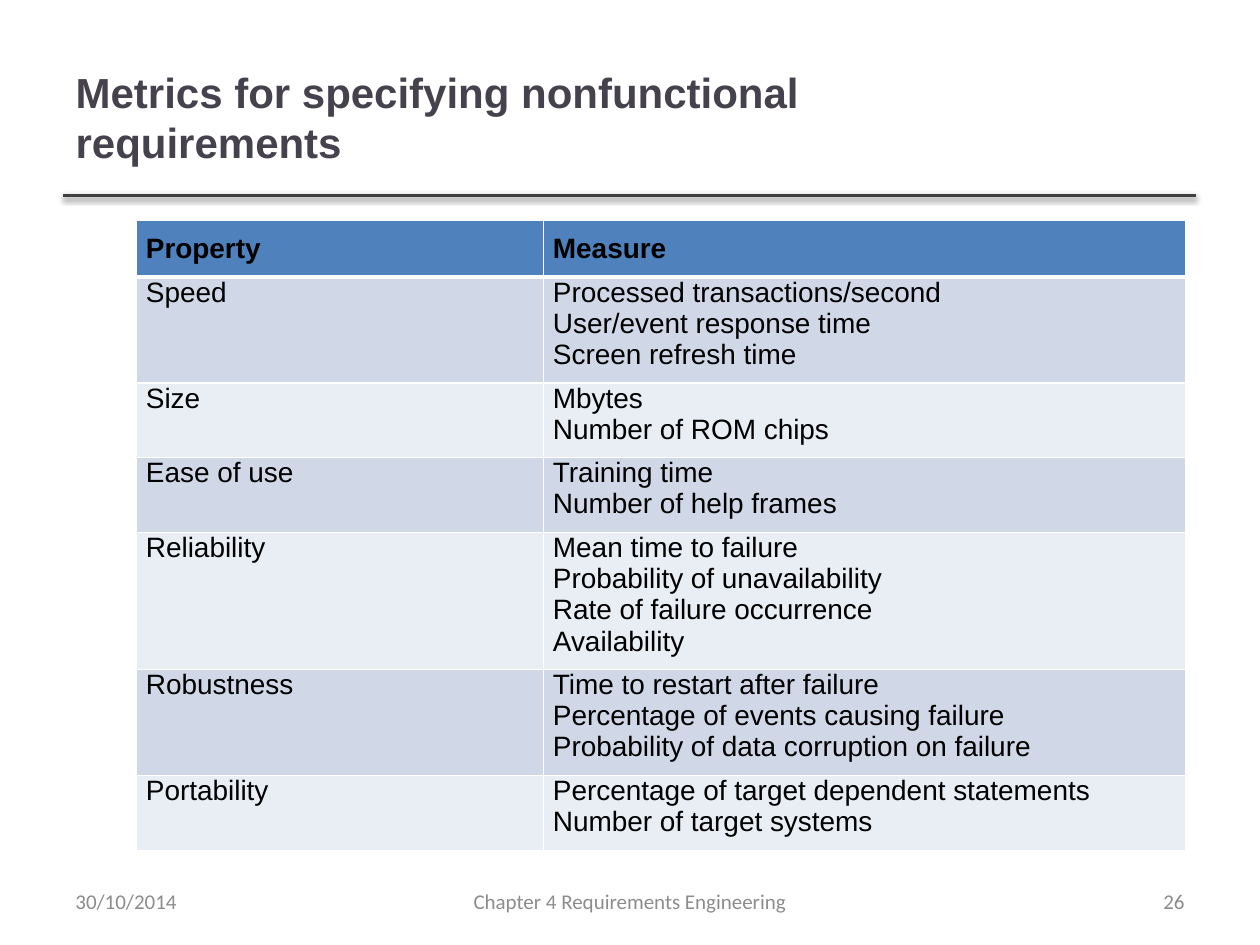
from lxml import etree
from pptx import Presentation
from pptx.dml.color import RGBColor
from pptx.enum.shapes import MSO_CONNECTOR
from pptx.enum.text import MSO_ANCHOR, MSO_AUTO_SIZE, PP_ALIGN
from pptx.oxml import parse_xml
from pptx.oxml.ns import nsdecls
from pptx.util import Pt

LEFT, CENTER, RIGHT, JUSTIFY = PP_ALIGN.LEFT, PP_ALIGN.CENTER, PP_ALIGN.RIGHT, PP_ALIGN.JUSTIFY
MIDDLE = MSO_ANCHOR.MIDDLE
STRAIGHT = MSO_CONNECTOR.STRAIGHT
NO_AUTOFIT = MSO_AUTO_SIZE.NONE

TITLE = RGBColor(0x46, 0x42, 0x4D)
RULE = RGBColor(0x40, 0x40, 0x40)
GRAY = RGBColor(0x8C, 0x8C, 0x8C)
BLACK = RGBColor(0x00, 0x00, 0x00)
HEADER = RGBColor(0x4F, 0x81, 0xBD)
BANDS = [RGBColor(0xE9, 0xED, 0xF4), RGBColor(0xD0, 0xD8, 0xE8)]

ROWS = [
    ("Property", ["Measure"]),
    ("Speed", ["Processed transactions/second", "User/event response time", "Screen refresh time"]),
    ("Size", ["Mbytes", "Number of ROM chips"]),
    ("Ease of use", ["Training time", "Number of help frames"]),
    ("Reliability", ["Mean time to failure", "Probability of unavailability",
                     "Rate of failure occurrence", "Availability"]),
    ("Robustness", ["Time to restart after failure", "Percentage of events causing failure",
                    "Probability of data corruption on failure"]),
    ("Portability", ["Percentage of target dependent statements", "Number of target systems"]),
]
FOOTERS = [
    ("30/10/2014", 36, 168, LEFT),
    ("Chapter 4 Requirements Engineering", 246, 228, CENTER),
    ("26", 516, 168, RIGHT),
]


def format_paragraph(p, font, size, color, align, bold=False):
    p.alignment = align
    p.font.name = font
    p.font.size = Pt(size)
    p.font.color.rgb = color
    p.font.bold = bold


def add_borders(cell, widths):
    tc_pr = cell._tc.get_or_add_tcPr()
    for i, (side, width) in enumerate(widths.items()):
        tc_pr.insert(i, parse_xml(
            f'<a:{side} {nsdecls("a")} w="{Pt(width)}"><a:solidFill>'
            f'<a:srgbClr val="FFFFFF"/></a:solidFill></a:{side}>'))


prs = Presentation()
prs.slide_width, prs.slide_height = Pt(720), Pt(540)
s = prs.slides.add_slide(prs.slide_layouts[5])

line = s.shapes.add_connector(STRAIGHT, Pt(36), Pt(111.6), Pt(683.3), Pt(111.6))
line.line.color.rgb = RULE
line.line.width = Pt(2)
effects = etree.SubElement(line._element.spPr, "{http://schemas.openxmlformats.org/drawingml/2006/main}effectLst")
effects.append(parse_xml(
    f'<a:outerShdw {nsdecls("a")} blurRad="{Pt(3.1)}" dist="{Pt(1.6)}" dir="5400000" rotWithShape="0">'
    '<a:srgbClr val="000000"><a:alpha val="38000"/></a:srgbClr></a:outerShdw>'))

title = s.shapes.title
title.left, title.top, title.width, title.height = Pt(36), Pt(21.6), Pt(574.5), Pt(90)
tf = title.text_frame
tf.text = "Metrics for specifying nonfunctional requirements"
tf.vertical_anchor = MIDDLE
tf.auto_size = NO_AUTOFIT
format_paragraph(tf.paragraphs[0], "Arial", 24, TITLE, LEFT, True)

frame = s.shapes.add_table(len(ROWS), 2, Pt(78), Pt(126), Pt(599.8), Pt(383.8))
table = frame.table
table.columns[0].width, table.columns[1].width = Pt(232.6), Pt(367.2)
for i, (name, measures) in enumerate(ROWS):
    is_header = i == 0
    table.rows[i].height = Pt(31 if is_header else 7.2 + 15.5 * len(measures))
    for j, lines in enumerate([[name], measures]):
        cell = table.cell(i, j)
        cell.fill.solid()
        cell.fill.fore_color.rgb = HEADER if is_header else BANDS[i % 2]
        cell.margin_left = cell.margin_right = Pt(5.4)
        cell.margin_top = Pt(7.2 if is_header else 0)
        cell.margin_bottom = Pt(7.2)
        add_borders(cell, {"lnL": 1, "lnR": 1, "lnT": 3 if i == 1 else 1, "lnB": 3 if is_header else 1})
        cell.text = "\n".join(lines)
        for p in cell.text_frame.paragraphs:
            format_paragraph(p, "Arial", 16, BLACK, LEFT if name == "Reliability" and j == 0 else JUSTIFY, is_header)

for text, left, width, align in FOOTERS:
    tf = s.shapes.add_textbox(Pt(left), Pt(500.5), Pt(width), Pt(28.75)).text_frame
    tf.word_wrap = True
    tf.vertical_anchor = MIDDLE
    tf.text = text
    format_paragraph(tf.paragraphs[0], "Calibri", 12, GRAY, align)

prs.save("out.pptx")
